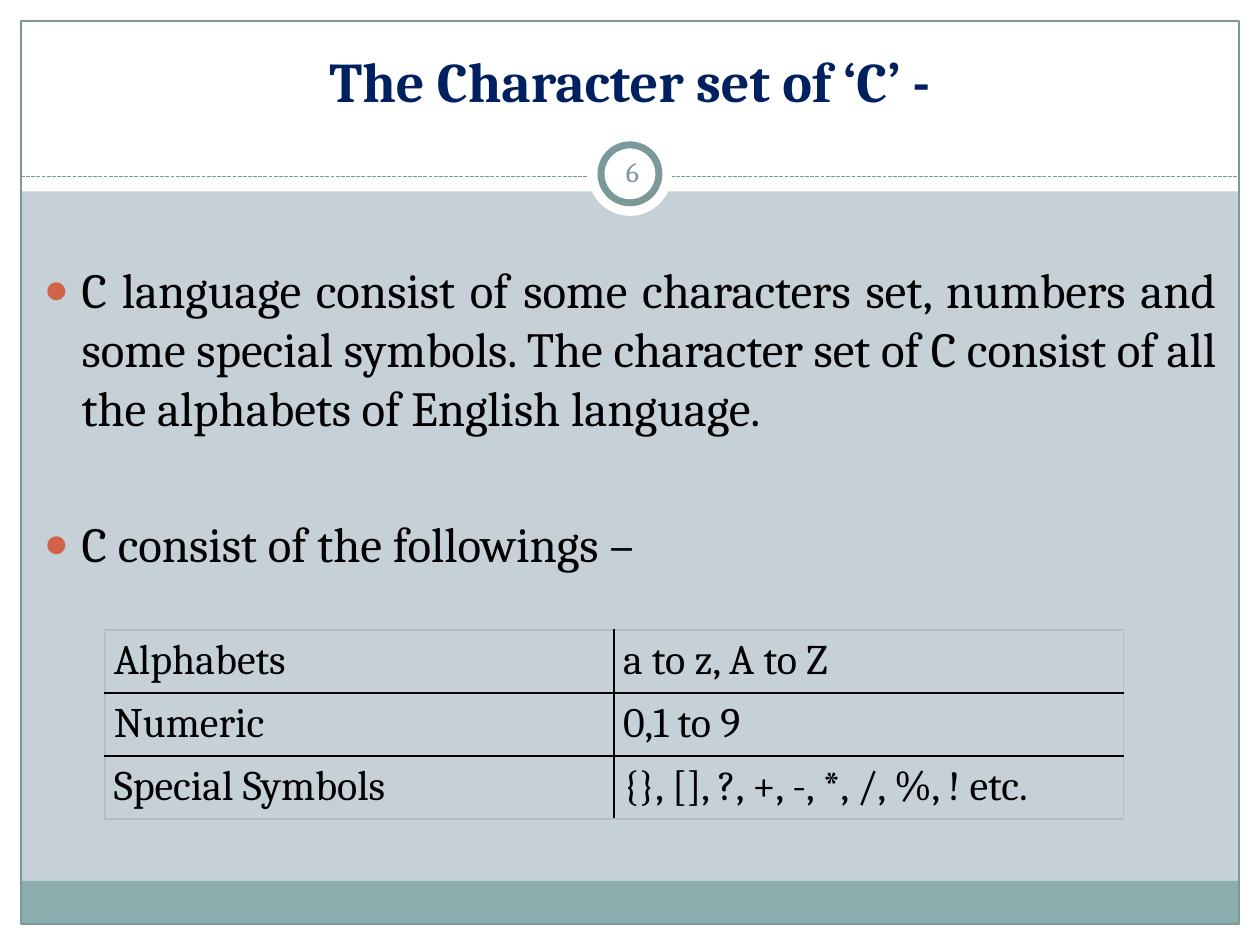
"""Build the slide on the character set of C, on a grid of 60 columns by 45 rows."""
from lxml.etree import SubElement
from pptx import Presentation
from pptx.dml.color import RGBColor
from pptx.enum.dml import MSO_LINE
from pptx.enum.shapes import MSO_CONNECTOR, MSO_SHAPE
from pptx.enum.text import MSO_ANCHOR, PP_ALIGN
from pptx.oxml.ns import qn
from pptx.util import Inches, Pt

WHITE = RGBColor(0xFF, 0xFF, 0xFF)
BLACK = RGBColor(0, 0, 0)
MIST = RGBColor(0xC5, 0xD1, 0xD7)
TEAL = RGBColor(0x8C, 0xAD, 0xAE)
SLATE = RGBColor(0x7C, 0x99, 0x9A)
NAVY = RGBColor(0x00, 0x20, 0x60)
RUST = RGBColor(0xD1, 0x63, 0x49)
GREY = RGBColor(0xB8, 0xBE, 0xC0)
FONT = "Cambria"
COLS, ROWS = 60, 45
UNIT = Inches(10) // COLS
RULE = 8.4
POINTS = [
    "C language consist of some characters set, numbers and some special symbols. "
    "The character set of C consist of all the alphabets of English language.",
    "C consist of the followings –",
]
SETS = [
    ("Alphabets", "a to z, A to Z"),
    ("Numeric", "0,1 to 9"),
    ("Special Symbols", "{}, [], ?, +, -, *, /, %, ! etc."),
]


def grid(*cells):
    """Turn grid cells into slide lengths."""
    return [int(cell * UNIT) for cell in cells]


def add_form(slide, box, fill=None, line=None, width=0.75, kind=MSO_SHAPE.RECTANGLE):
    """Add a plain shape with an optional fill and outline."""
    form = slide.shapes.add_shape(kind, *grid(*box))
    form.shadow.inherit = False
    if fill is None:
        form.fill.background()
    else:
        form.fill.solid()
        form.fill.fore_color.rgb = fill
    if line is None:
        form.line.fill.background()
    else:
        form.line.color.rgb = line
        form.line.width = Pt(width)


def add_disc(slide, mid, size, **style):
    """Add a white circle around a point."""
    box = (mid[0] - size / 2, mid[1] - size / 2, size, size)
    add_form(slide, box, WHITE, kind=MSO_SHAPE.OVAL, **style)


def add_dash(slide, left, right, row):
    """Add the dashed rule under the title."""
    dash = slide.shapes.add_connector(MSO_CONNECTOR.STRAIGHT, *grid(left, row, right, row))
    dash.line.color.rgb = SLATE
    dash.line.width = Pt(0.75)
    dash.line.dash_style = MSO_LINE.SQUARE_DOT
    SubElement(dash._element.spPr, qn("a:effectLst"))


def style(par, size, color, align, bold=False):
    """Set the look of a paragraph and its runs."""
    par.alignment = align
    for run in par.runs:
        run.font.name = FONT
        run.font.size = Pt(size)
        run.font.bold = bold
        run.font.color.rgb = color


def add_text(slide, box, lines, size, color, align, anchor, bold=False):
    """Add a text box with one paragraph a line and return its paragraphs."""
    frame = slide.shapes.add_textbox(*grid(*box)).text_frame
    frame.word_wrap = True
    frame.vertical_anchor = anchor
    frame.text = "\n".join(lines)
    for par in frame.paragraphs:
        style(par, size, color, align, bold)
    return frame.paragraphs


def add_dot(par):
    """Give a paragraph a round bullet and a hanging indent."""
    props = par._p.get_or_add_pPr()
    props.set("marL", str(Inches(0.3)))
    props.set("indent", str(-Inches(0.3)))
    tint = SubElement(props, qn("a:buClr"))
    SubElement(tint, qn("a:srgbClr"), val=str(RUST))
    SubElement(props, qn("a:buSzPct"), val="85000")
    SubElement(props, qn("a:buFont"), typeface="Arial")
    SubElement(props, qn("a:buChar"), char="●")


def add_edge(cell, side, color):
    """Draw one border of a table cell."""
    edge = SubElement(cell._tc.get_or_add_tcPr(), qn(f"a:{side}"), w=str(Pt(1)))
    fill = SubElement(edge, qn("a:solidFill"))
    SubElement(fill, qn("a:srgbClr"), val=str(color))


def add_table(slide, box, data):
    """Add a clear table with black inner and grey outer borders."""
    high, wide = len(data), len(data[0])
    table = slide.shapes.add_table(high, wide, *grid(*box)).table
    table.first_row = table.horz_banding = False
    for i, row in enumerate(data):
        for j, text in enumerate(row):
            cell = table.cell(i, j)
            cell.text = text
            cell.margin_left = cell.margin_right = Inches(0.07)
            style(cell.text_frame.paragraphs[0], 24, BLACK, PP_ALIGN.LEFT)
            outer = {"lnL": j == 0, "lnR": j == wide - 1,
                     "lnT": i == 0, "lnB": i == high - 1}
            for side, rim in outer.items():
                add_edge(cell, side, GREY if rim else BLACK)
            cell.fill.background()


def add_frame(slide):
    """Draw the white margins, the bands, the outline and the number ring."""
    for box in ((0, ROWS - 1, COLS, 1), (0, 0, COLS, 9.12),
                (0, 0, 1, ROWS), (COLS - 1, 0, 1, ROWS)):
        add_form(slide, box, WHITE)
    add_form(slide, (1, 41.95, COLS - 2, 2.05), TEAL)
    add_form(slide, (1, 1, COLS - 2, ROWS - 2), line=SLATE)
    add_dash(slide, 1, COLS - 1, RULE)
    mid = (COLS / 2, 8.28)
    add_disc(slide, mid, 4)
    add_disc(slide, mid, 2.76, line=SLATE, width=4)


def main():
    """Build and save the slide."""
    deck = Presentation()
    deck.slide_width, deck.slide_height = grid(COLS, ROWS)
    slide = deck.slides.add_slide(deck.slide_layouts[6])
    slide.background.fill.solid()
    slide.background.fill.fore_color.rgb = MIST
    add_frame(slide)
    add_text(slide, (4.14, 2.4, 51.72, 3.3), ["The Character set of ‘C’ -"], 32, NAVY,
             PP_ALIGN.CENTER, MSO_ANCHOR.BOTTOM, True)
    add_text(slide, (28.62, 6.72, 3, 2.88), ["6"], 16, SLATE,
             PP_ALIGN.CENTER, MSO_ANCHOR.MIDDLE)
    pars = add_text(slide, (1.5, 12.06, 57, 17), POINTS, 28, BLACK,
                    PP_ALIGN.JUSTIFY, MSO_ANCHOR.TOP)
    pars[1].space_before = Pt(44.5)
    for par in pars:
        add_dot(par)
    add_table(slide, (5, 30, 48.5, 8.73), SETS)
    deck.save("out.pptx")


if __name__ == "__main__":
    main()
